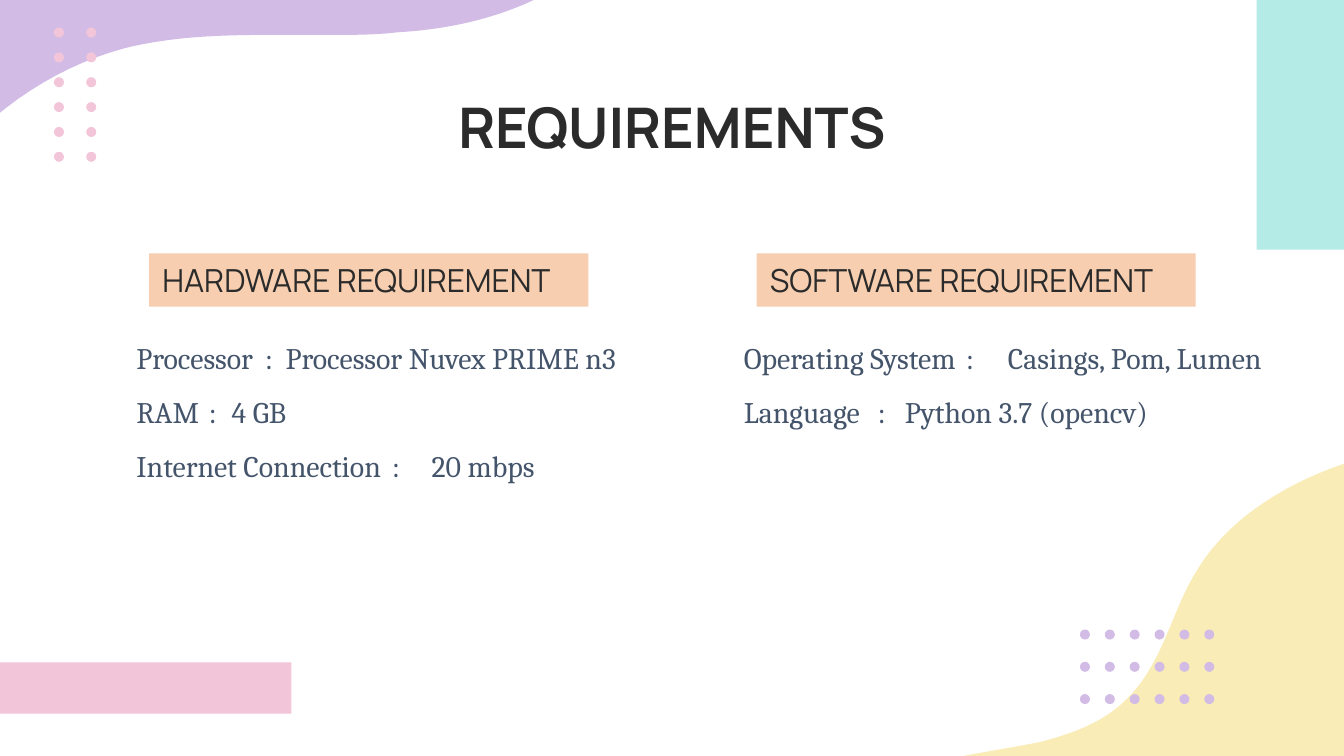
import itertools
from dataclasses import dataclass

import pptx
import pptx.dml.color
import pptx.enum.shapes
import pptx.enum.text
import pptx.oxml.ns
import pptx.util
from lxml import etree
from pptx.util import Cm


@dataclass(frozen=True)
class Theme:
    lilac: str = "D2BCE6"
    mint: str = "B5EBE7"
    pink: str = "F3C5D8"
    peach: str = "F7CFB0"
    butter: str = "FAECB6"
    ink: str = "2B2B2B"
    slate: str = "44546A"
    title_size: int = 30
    heading_size: int = 17
    body_size: int = 16
    heading_font: str = "Manrope"
    body_font: str = "Cambria"


theme = Theme()

TITLE = "REQUIREMENTS"
COLUMNS = [
    ("HARDWARE REQUIREMENT", 10.06, [
        ("Processor", "Processor Nuvex PRIME n3", (2.43, 2.82)),
        ("RAM", "4 GB", (1.37, 1.8)),
        ("Internet Connection", "20 mbps", (4.83, 5.58)),
    ]),
    ("SOFTWARE REQUIREMENT", 11.18, [
        ("Operating System", "Casings, Pom, Lumen", (4.2, 4.99)),
        ("Language", "Python 3.7 (opencv)", (2.53, 3.04)),
    ]),
]
COLUMN_LEFT, COLUMN_PITCH = 2.33, 11.48
HEADING_INDENT = 0.49

BLOCKS = [
    (theme.mint, (23.75, 0, 1.73, 4.72)),
    (theme.pink, (0, 12.52, 5.51, 0.97)),
]

WAVES = [
    (theme.lilac, (-1.24, 3.45), [
        [(-1.24, -4.7)],
        [(10.19, -4.7)],
        [(10.19, -0.05)],
        [(9.37, 0.36), (8.43, 0.56), (7.52, 0.61)],
        [(7.11, 0.66), (6.71, 0.66), (6.27, 0.66)],
        [(5.89, 0.66), (5.49, 0.66), (5.11, 0.66)],
        [(4.17, 0.66), (3.25, 0.69), (2.36, 0.91)],
        [(0.91, 1.3), (-0.38, 2.24), (-1.24, 3.45)],
    ]),
    (theme.butter, (26.16, 8.53), [
        [(25.96, 8.59), (25.78, 8.64), (25.58, 8.71)],
        [(24.41, 9.07), (23.27, 9.75), (22.66, 10.72)],
        [(22.1, 11.58), (22, 12.62), (21.16, 13.34)],
        [(20.75, 13.69), (20.24, 13.87), (19.69, 14.02)],
        [(19.2, 14.12), (18.67, 14.2), (18.16, 14.3)],
        [(18.8, 16.99)],
        [(28.24, 14.66)],
        [(26.7, 8.43)],
        [(26.52, 8.46), (26.34, 8.51), (26.16, 8.53)],
    ]),
]
CURVE_STEPS = 16

DOT_SIZE = 0.19
DOT_GRIDS = [
    (theme.pink, (1.02, 0.52), (0.61, 0.47), (2, 6)),
    (theme.lilac, (20.41, 11.9), (0.47, 0.61), (6, 3)),
]

FORMATS = {
    "title": dict(size=pptx.util.Pt(theme.title_size), name=theme.heading_font, bold=True),
    "heading": dict(size=pptx.util.Pt(theme.heading_size), name=theme.heading_font),
    "body": dict(size=pptx.util.Pt(theme.body_size), name=theme.body_font),
}
INK = {"title": theme.ink, "heading": theme.ink, "body": theme.slate}


def rgb(value):
    return pptx.dml.color.RGBColor.from_string(value)


def paint(shape, color):
    shape.shadow.inherit = False
    shape.fill.solid()
    shape.fill.fore_color.rgb = rgb(color)
    shape.line.fill.background()
    return shape


def add_block(page, kind, frame, color):
    return paint(page.shapes.add_shape(kind, *map(Cm, frame)), color)


def curve_points(start, first, second, end):
    for step in range(1, CURVE_STEPS + 1):
        t = step / CURVE_STEPS
        weights = ((1 - t) ** 3, 3 * t * (1 - t) ** 2, 3 * t * t * (1 - t), t ** 3)
        yield tuple(
            sum(w * point[axis] for w, point in zip(weights, (start, first, second, end)))
            for axis in (0, 1)
        )


def add_wave(page, color, start, segments):
    points = [start]
    for segment in segments:
        points.extend(segment if len(segment) == 1 else curve_points(points[-1], *segment))
    outline = [(Cm(x), Cm(y)) for x, y in points]
    builder = page.shapes.build_freeform(*outline[0])
    builder.add_line_segments(outline[1:], close=True)
    paint(builder.convert_to_shape(), color)


def set_frame(box, anchor):
    values = dict(word_wrap=True, vertical_anchor=anchor)
    values.update({f"margin_{side}": Cm(0.25) for side in ("left", "top", "right", "bottom")})
    for name, value in values.items():
        setattr(box.text_frame, name, value)


def write(para, text, role, **para_format):
    for name, value in para_format.items():
        setattr(para, name, value)
    span = para.add_run()
    span.text = text
    for name, value in FORMATS[role].items():
        setattr(span.font, name, value)
    span.font.color.rgb = rgb(INK[role])


def set_tabs(para, stops):
    qn = pptx.oxml.ns.qn
    tabs = etree.SubElement(para._p.get_or_add_pPr(), qn("a:tabLst"))
    for stop in stops:
        etree.SubElement(tabs, qn("a:tab"), pos=str(Cm(stop)), algn="l")


def add_column(page, left, heading, width, rows):
    rectangle = pptx.enum.shapes.MSO_SHAPE.RECTANGLE
    box = add_block(page, rectangle, (left + HEADING_INDENT, 4.79, 8.3, 1.01), theme.peach)
    set_frame(box, pptx.enum.text.MSO_ANCHOR.MIDDLE)
    write(box.text_frame.paragraphs[0], heading, "heading",
          alignment=pptx.enum.text.PP_ALIGN.LEFT)

    box = page.shapes.add_textbox(Cm(left), Cm(5.84), Cm(width), Cm(4.72))
    set_frame(box, pptx.enum.text.MSO_ANCHOR.TOP)
    for index, (label, value, stops) in enumerate(rows):
        para = box.text_frame.add_paragraph() if index else box.text_frame.paragraphs[0]
        write(para, f"{label}\t:\t{value}", "body", line_spacing=1.5)
        set_tabs(para, stops)


def main():
    deck = pptx.Presentation()
    deck.slide_width, deck.slide_height = Cm(25.4), Cm(14.29)
    page = deck.slides.add_slide(deck.slide_layouts[6])
    kinds = pptx.enum.shapes.MSO_SHAPE

    for wave in WAVES:
        add_wave(page, *wave)
    for color, frame in BLOCKS:
        add_block(page, kinds.RECTANGLE, frame, color)
    for color, (left, top), (step_x, step_y), (across, down) in DOT_GRIDS:
        for column, row in itertools.product(range(across), range(down)):
            frame = (left + column * step_x, top + row * step_y, DOT_SIZE, DOT_SIZE)
            add_block(page, kinds.OVAL, frame, color)

    box = page.shapes.add_textbox(Cm(2), Cm(1.5), Cm(21.4), Cm(1.6))
    set_frame(box, pptx.enum.text.MSO_ANCHOR.TOP)
    write(box.text_frame.paragraphs[0], TITLE, "title",
          alignment=pptx.enum.text.PP_ALIGN.CENTER)

    for index, column in enumerate(COLUMNS):
        add_column(page, COLUMN_LEFT + index * COLUMN_PITCH, *column)

    deck.save("out.pptx")


if __name__ == "__main__":
    main()
